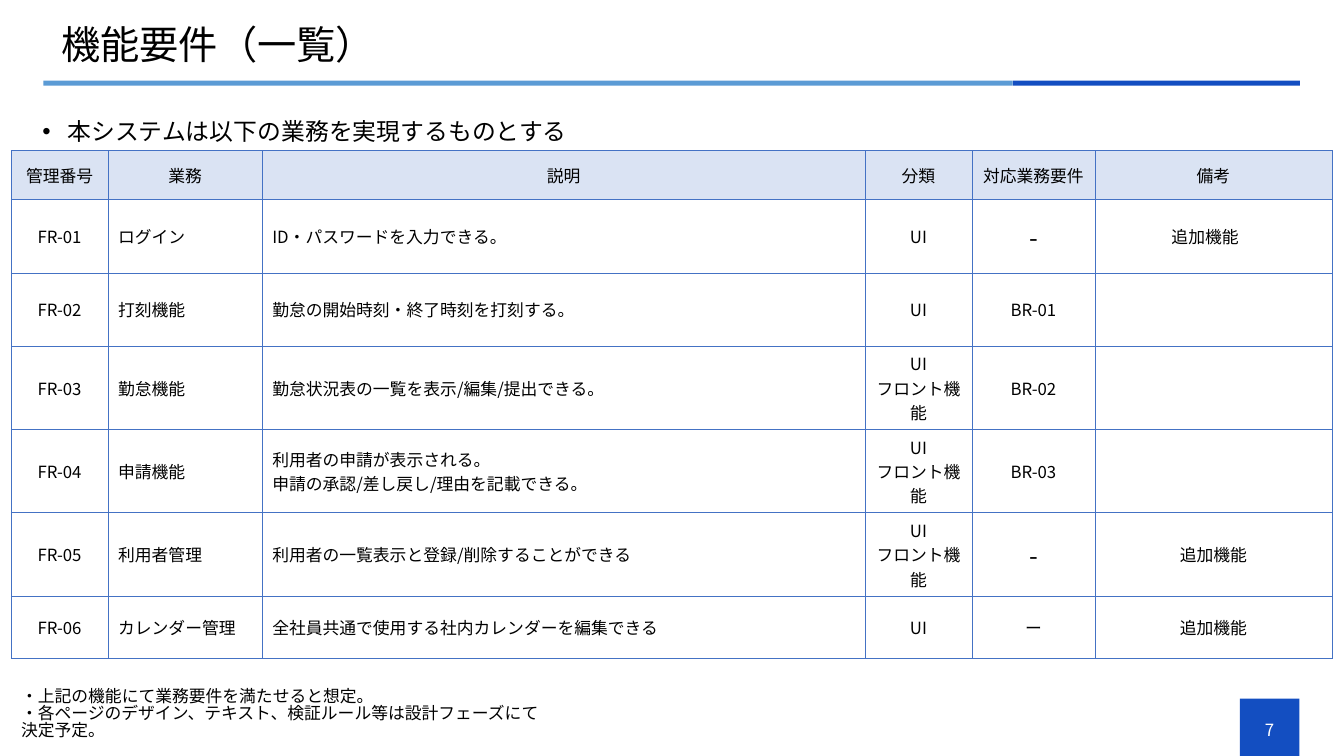
from dataclasses import dataclass

from lxml.etree import SubElement
from pptx import Presentation
from pptx.dml.color import RGBColor
from pptx.enum.lang import MSO_LANGUAGE_ID as Language
from pptx.enum.shapes import MSO_SHAPE as ShapeKind
from pptx.enum.text import MSO_ANCHOR as Anchor, MSO_AUTO_SIZE as AutoSize, PP_ALIGN as Align
from pptx.oxml.ns import qn
from pptx.util import Pt


@dataclass(frozen=True)
class Theme:
    font: str = "Noto Sans CJK JP"
    black: str = "000000"
    white: str = "FFFFFF"
    navy: str = "134EC1"
    sky: str = "5B9BD5"
    header: str = "DAE3F3"
    border: str = "4472C4"
    title_size: float = 28
    lead_size: float = 17
    text_size: float = 12
    dash_size: float = 18


@dataclass(frozen=True)
class Box:
    left: float
    top: float
    width: float
    height: float


@dataclass(frozen=True)
class Block:
    box: Box
    color: str


@dataclass(frozen=True)
class Column:
    heading: str
    width: float
    align: Align = Align.CENTER


@dataclass(frozen=True)
class Requirement:
    height: float
    number: str
    task: str
    description: str
    category: str
    business: str
    remark: str = ""

    def texts(self) -> list[str]:
        return [self.number, self.task, self.description,
                self.category, self.business, self.remark]


THEME = Theme()

BLOCKS = [
    Block(Box(885.6, 499, 42.5, 41), THEME.navy),
    Block(Box(31, 57.6, 692.4, 3.6), THEME.sky),
    Block(Box(723.4, 57.6, 205.2, 3.6), THEME.navy),
]

COLUMNS = [
    Column("管理番号", 69.2),
    Column("業務", 110.1, Align.LEFT),
    Column("説明", 430.6, Align.LEFT),
    Column("分類", 76.4),
    Column("対応業務要件", 87.9),
    Column("備考", 169.3),
]

HEADER_HEIGHT = 35.2
FRONT = "UI\nフロント機能"
REQUIREMENTS = [
    Requirement(52.4, "FR-01", "ログイン", "ID・パスワードを入力できる。", "UI", "-", "追加機能　"),
    Requirement(52.4, "FR-02", "打刻機能", "勤怠の開始時刻・終了時刻を打刻する。", "UI", "BR-01"),
    Requirement(52.4, "FR-03", "勤怠機能", "勤怠状況表の一覧を表示/編集/提出できる。", FRONT, "BR-02"),
    Requirement(54.7, "FR-04", "申請機能",
                "利用者の申請が表示される。\n申請の承認/差し戻し/理由を記載できる。", FRONT, "BR-03"),
    Requirement(52.4, "FR-05", "利用者管理", "利用者の一覧表示と登録/削除することができる",
                FRONT, "-", "追加機能"),
    Requirement(44.6, "FR-06", "カレンダー管理",
                "全社員共通で使用する社内カレンダーを編集できる", "UI", "ー", "追加機能"),
]

NOTES = ("・上記の機能にて業務要件を満たせると想定。\n"
         "・各ページのデザイン、テキスト、検証ルール等は設計フェーズにて決定予定。")


def write(frame, text: str, *, size: float = THEME.text_size, color: str = THEME.black,
          align: Align = Align.LEFT, spacing: float = 1.0, before: float = 0) -> None:
    """Fill a text frame, one paragraph for each line of text."""
    for index, line in enumerate(text.split("\n")):
        paragraph = frame.paragraphs[0] if index == 0 else frame.add_paragraph()
        paragraph.alignment = align
        paragraph.line_spacing = spacing
        paragraph.space_before = Pt(before)
        run = paragraph.add_run()
        run.text = line
        run.font.size = Pt(size)
        run.font.name = THEME.font
        run.font.color.rgb = RGBColor.from_string(color)
        run.font.language_id = Language.JAPANESE
        SubElement(run.font._element, qn("a:ea"), typeface=THEME.font)


def points(box: Box) -> tuple:
    return Pt(box.left), Pt(box.top), Pt(box.width), Pt(box.height)


def draw_block(slide, block: Block) -> None:
    shape = slide.shapes.add_shape(ShapeKind.RECTANGLE, *points(block.box))
    shape.shadow.inherit = False
    shape.fill.solid()
    shape.fill.fore_color.rgb = RGBColor.from_string(block.color)
    shape.line.fill.background()


def place(shape, box: Box, anchor: Anchor):
    """Move a placeholder and return its text frame."""
    shape.left, shape.top, shape.width, shape.height = points(box)
    frame = shape.text_frame
    frame.auto_size = AutoSize.NONE
    frame.vertical_anchor = anchor
    return frame


def add_text_box(slide, box: Box, anchor: Anchor = Anchor.TOP):
    frame = slide.shapes.add_textbox(*points(box)).text_frame
    frame.word_wrap = True
    frame.vertical_anchor = anchor
    return frame


def add_bullet(paragraph, indent: float) -> None:
    properties = paragraph._p.get_or_add_pPr()
    properties.set("marL", str(Pt(indent)))
    properties.set("indent", str(-Pt(indent)))
    SubElement(properties, qn("a:buFont"), typeface="Arial")
    SubElement(properties, qn("a:buChar"), char="•")


def format_cell(cell, fill: str) -> None:
    properties = cell._tc.get_or_add_tcPr()
    for side in ("lnL", "lnR", "lnT", "lnB"):
        line = SubElement(properties, qn(f"a:{side}"), w=str(Pt(0.5)))
        SubElement(SubElement(line, qn("a:solidFill")), qn("a:srgbClr"), val=THEME.border)
    cell.fill.solid()
    cell.fill.fore_color.rgb = RGBColor.from_string(fill)
    cell.vertical_anchor = Anchor.MIDDLE


def draw_table(slide, left: float, top: float) -> None:
    heights = [HEADER_HEIGHT] + [item.height for item in REQUIREMENTS]
    rows = [[column.heading for column in COLUMNS]] + [item.texts() for item in REQUIREMENTS]
    box = Box(left, top, sum(column.width for column in COLUMNS), sum(heights))
    table = slide.shapes.add_table(len(rows), len(COLUMNS), *points(box)).table
    for index, column in enumerate(COLUMNS):
        table.columns[index].width = Pt(column.width)
    for row_index, texts in enumerate(rows):
        table.rows[row_index].height = Pt(heights[row_index])
        is_header = row_index == 0
        for column_index, (column, text) in enumerate(zip(COLUMNS, texts)):
            cell = table.cell(row_index, column_index)
            format_cell(cell, THEME.header if is_header else THEME.white)
            if text:
                write(cell.text_frame, text,
                      size=THEME.dash_size if text == "-" else THEME.text_size,
                      align=Align.CENTER if is_header else column.align)


def main() -> None:
    presentation = Presentation()
    presentation.slide_width, presentation.slide_height = Pt(960), Pt(540)
    slide = presentation.slides.add_slide(presentation.slide_layouts[1])

    # Rule under the title and page number square
    for block in BLOCKS:
        draw_block(slide, block)

    # Title and lead sentence
    title = place(slide.shapes.title, Box(36.7, 12.2, 897, 42), Anchor.MIDDLE)
    write(title, "機能要件（一覧）", size=THEME.title_size, spacing=0.9)
    lead = place(slide.placeholders[1], Box(23, 77.8, 892.8, 29.5), Anchor.TOP)
    write(lead, "本システムは以下の業務を実現するものとする",
          size=THEME.lead_size, spacing=1.1, before=10)
    add_bullet(lead.paragraphs[0], 18)

    # Requirements table
    draw_table(slide, 8, 107.4)

    # Page number and notes
    number = add_text_box(slide, Box(885.6, 506.9, 42.5, 28.8), Anchor.MIDDLE)
    write(number, "7", color=THEME.white, align=Align.CENTER)
    notes = add_text_box(slide, Box(8, 488.9, 384.5, 51))
    write(notes, NOTES, spacing=0.84)

    presentation.save("out.pptx")


if __name__ == "__main__":
    main()
